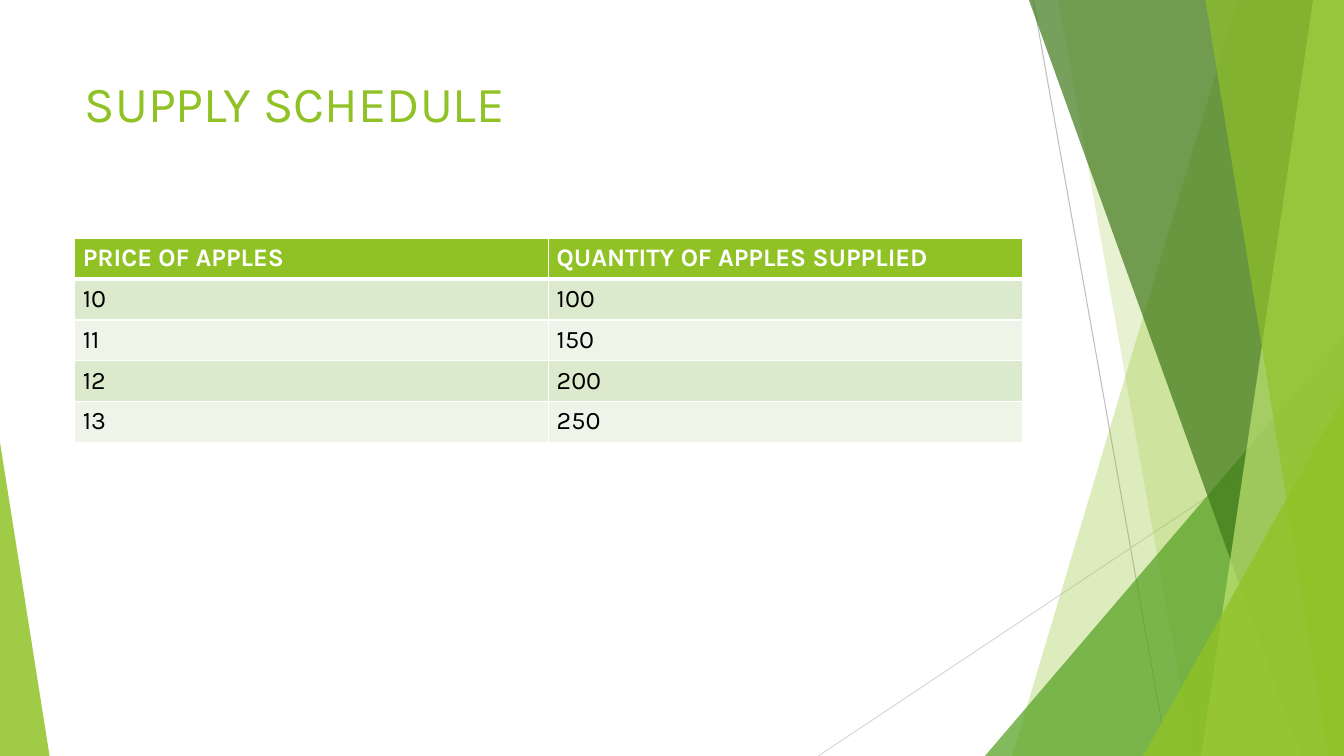
from pptx import Presentation
from pptx.dml.color import RGBColor
from pptx.enum.shapes import MSO_CONNECTOR as Connector, MSO_SHAPE as Shape
from pptx.enum.text import MSO_ANCHOR as Anchor, MSO_AUTO_SIZE as AutoSize, PP_ALIGN as Align
from pptx.oxml import parse_xml
from pptx.oxml.ns import nsdecls, qn
from pptx.util import Pt
from lxml.etree import SubElement

WHITE = RGBColor(0xFF, 0xFF, 0xFF)
BLACK = RGBColor(0, 0, 0)
LIME = RGBColor(0x90, 0xC2, 0x26)
LEAF = RGBColor(0x54, 0xA0, 0x21)
FOREST = RGBColor(0x3F, 0x78, 0x19)
PALE_LIME = RGBColor(0xC0, 0xE4, 0x74)
BAND_DARK = RGBColor(0xDB, 0xE9, 0xCD)
BAND_LIGHT = RGBColor(0xEE, 0xF4, 0xE8)
GREY = RGBColor(0xBF, 0xBF, 0xBF)
LIGHT_GREY = RGBColor(0xD9, 0xD9, 0xD9)
FONT = "Karla"

# Boxes: left, top, width, height in points
SLIDE_BOX = (0, 0, 960, 540)
TITLE_BOX = (53.3, 48, 677, 104)
TABLE_BOX = (53.3, 170.2, 677, 146)

SCHEDULE = [
    ("PRICE OF APPLES", "QUANTITY OF APPLES SUPPLIED"),
    ("10", "100"),
    ("11", "150"),
    ("12", "200"),
    ("13", "250"),
]


def tint(shape, color, opacity):
    """Flat fill with an opacity in percent and no outline."""
    shape.shadow.inherit = False
    shape.fill.solid()
    shape.fill.fore_color.rgb = color
    solid = shape.element.spPr.find(qn("a:solidFill"))
    SubElement(solid[0], qn("a:alpha"), val=str(opacity * 1000))
    shape.line.fill.background()


def add_decoration(slide, box):
    left, top, width, height = box
    right, bottom = left + width, top + height
    shapes = slide.shapes.add_group_shape().shapes

    def hairline(x1, y1, x2, y2, color):
        line = shapes.add_connector(Connector.STRAIGHT, Pt(left + x1), Pt(top + y1),
                                    Pt(left + x2), Pt(top + y2))
        line.line.color.rgb = color
        line.line.width = Pt(0.75)
        SubElement(line.element.spPr, qn("a:effectLst"))

    def facet(top_x, bottom_x, color, opacity):
        """Full-height panel between a slanted edge and the right side."""
        outline = shapes.build_freeform(Pt(left + top_x), Pt(top))
        outline.add_line_segments([(Pt(right), Pt(top)), (Pt(right), Pt(bottom)),
                                   (Pt(left + bottom_x), Pt(bottom))])
        tint(outline.convert_to_shape(), color, opacity)

    def corner(x1, x2, peak_y, peak, color, opacity):
        """Right triangle on the bottom edge; peak 0 is left, 1 is right."""
        triangle = shapes.add_shape(Shape.ISOSCELES_TRIANGLE, Pt(left + x1), Pt(top + peak_y),
                                    Pt(x2 - x1), Pt(height - peak_y))
        triangle.adjustments[0] = peak
        tint(triangle, color, opacity)

    hairline(738, 0, 834, height, GREY)
    hairline(width, 290, 584.5, height, LIGHT_GREY)
    facet(884, 723, LIME, 30)
    facet(756, 852, LIME, 20)
    corner(703.5, width, 240, 1, LEAF, 72)
    facet(735, 929.5, FOREST, 70)
    facet(938, 858, PALE_LIME, 70)
    facet(861, 949, LIME, 65)
    corner(816.5, width, 283, 1, LIME, 80)
    corner(0, 35.4, 316, 0, LIME, 85)


def add_title(slide, box):
    title = slide.shapes.title
    title.left, title.top, title.width, title.height = map(Pt, box)
    frame = title.text_frame
    frame.text = "SUPPLY SCHEDULE"
    frame.auto_size = AutoSize.NONE
    frame.vertical_anchor = Anchor.TOP
    heading = frame.paragraphs[0]
    heading.alignment = Align.LEFT
    heading.font.name, heading.font.size = FONT, Pt(36)
    heading.font.color.rgb = LIME
    # Bring the title in front of the decoration
    title.element.getparent().append(title.element)


def set_borders(cell, **widths):
    """White borders, widths in points by side."""
    props = cell._tc.get_or_add_tcPr()
    for side, width in widths.items():
        props.append(parse_xml(
            f'<a:ln{side} {nsdecls("a")} w="{Pt(width)}"><a:solidFill>'
            f'<a:srgbClr val="{WHITE}"/></a:solidFill></a:ln{side}>'))


def add_schedule(slide, box):
    rows, cols = len(SCHEDULE), len(SCHEDULE[0])
    table = slide.shapes.add_table(rows, cols, *map(Pt, box)).table
    table.horz_banding = False
    for r, entries in enumerate(SCHEDULE):
        header = r == 0
        fill = LIME if header else (BAND_DARK if r % 2 else BAND_LIGHT)
        for c, entry in enumerate(entries):
            cell = table.cell(r, c)
            set_borders(cell, L=1, R=1, T=3 if r == 1 else 1, B=3 if header else 1)
            cell.fill.solid()
            cell.fill.fore_color.rgb = fill
            cell.margin_left = cell.margin_right = Pt(5.9)
            cell.margin_top = cell.margin_bottom = Pt(3.6)
            cell.text = entry
            font = cell.text_frame.paragraphs[0].font
            font.name, font.size, font.bold = FONT, Pt(18), header
            font.color.rgb = WHITE if header else BLACK


def main():
    deck = Presentation()
    deck.slide_width, deck.slide_height = map(Pt, SLIDE_BOX[2:])
    slide = deck.slides.add_slide(deck.slide_layouts[5])
    add_decoration(slide, SLIDE_BOX)
    add_title(slide, TITLE_BOX)
    add_schedule(slide, TABLE_BOX)
    deck.save("out.pptx")


if __name__ == "__main__":
    main()
